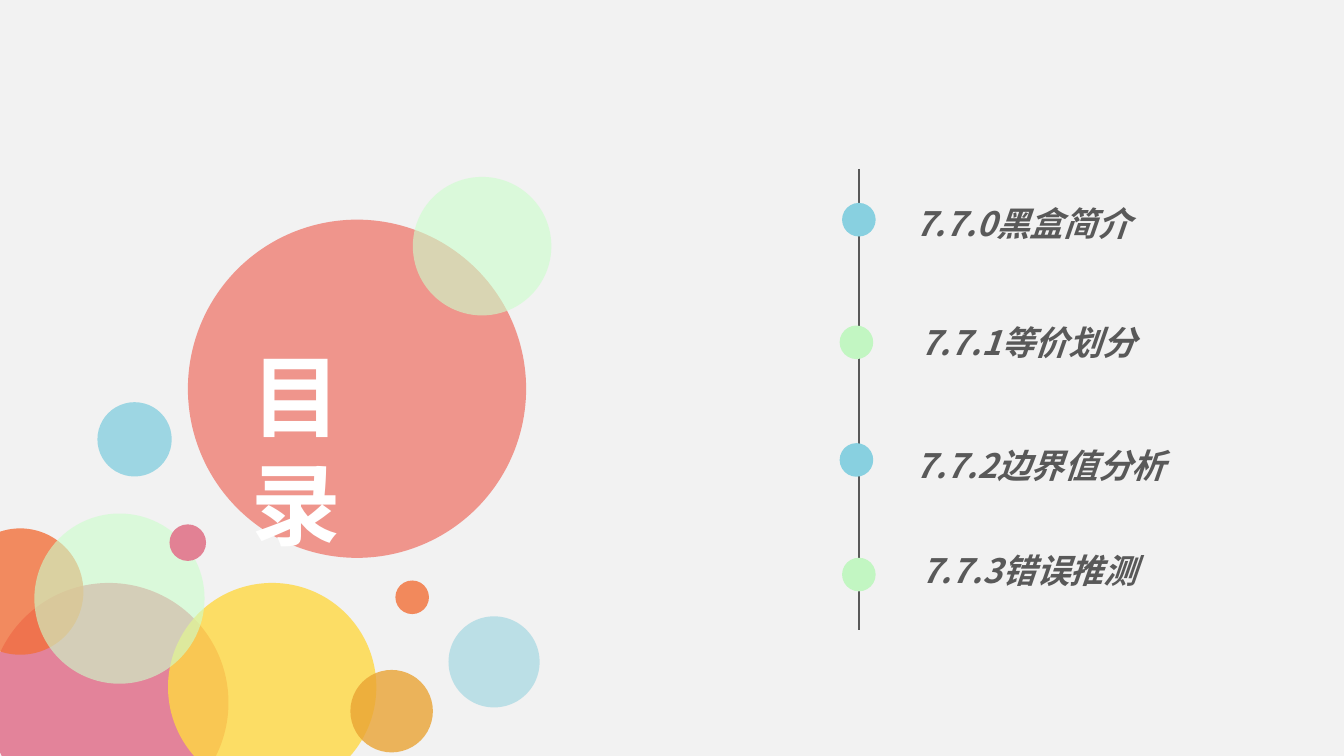
import lxml.etree
import pptx
import pptx.dml.color
import pptx.enum.shapes
import pptx.enum.text
import pptx.oxml.ns
import pptx.util
from dataclasses import dataclass

Pt = pptx.util.Pt
RGB = pptx.dml.color.RGBColor.from_string
qn = pptx.oxml.ns.qn


@dataclass(frozen=True)
class Theme:
    background: str = "F2F2F2"
    ink: str = "595959"
    white: str = "FFFFFF"
    coral: str = "EF8B81"
    sky: str = "88D0E0"
    pale_sky: str = "86CDDB"
    orange: str = "F2895C"
    deep_orange: str = "F3703B"
    crimson: str = "DB3D63"
    rose: str = "E28194"
    yellow: str = "FFD842"
    amber: str = "EAA434"
    mint: str = "CCFFCC"
    green: str = "C2F6C2"
    font: str = "Noto Sans CJK SC"
    title_size: int = 48
    item_size: int = 18


theme = Theme()


def add_circle(left, top, size, color, opacity=100):
    sp = s.shapes.add_shape(pptx.enum.shapes.MSO_SHAPE.OVAL,
                            Pt(left), Pt(top), Pt(size), Pt(size))
    sp.shadow.inherit = False
    sp.line.fill.background()
    sp.fill.solid()
    sp.fill.fore_color.rgb = RGB(color)
    if opacity < 100:
        clr = sp.fill._xPr.find(".//" + qn("a:srgbClr"))
        lxml.etree.SubElement(clr, qn("a:alpha"), val=str(opacity * 1000))


def write_text(sp, text, size, color, italic=False):
    """Fill a shape with one bold, left-aligned, top-anchored paragraph."""
    tf = sp.text_frame
    tf.word_wrap = True
    tf.auto_size = pptx.enum.text.MSO_AUTO_SIZE.SHAPE_TO_FIT_TEXT
    tf.vertical_anchor = pptx.enum.text.MSO_ANCHOR.TOP
    p = tf.paragraphs[0]
    p.text = text
    p.alignment = pptx.enum.text.PP_ALIGN.LEFT
    p.font.name = theme.font
    p.font.size = Pt(size)
    p.font.bold = True
    p.font.italic = italic
    p.font.color.rgb = RGB(color)
    latin = p._p.find(".//" + qn("a:latin"))
    latin.addnext(latin.makeelement(qn("a:ea"), {"typeface": theme.font}))


prs = pptx.Presentation()
prs.slide_width, prs.slide_height = Pt(720), Pt(405)
s = prs.slides.add_slide(prs.slide_layouts[5])
s.background.fill.solid()
s.background.fill.fore_color.rgb = RGB(theme.background)

# Bubbles, from back to front: left, top, diameter, colour, opacity in percent
bubbles = [
    (100.7, 117.7, 181.2, theme.coral, 90),
    (52.2, 215.5, 39.8, theme.sky, 80),
    (240.3, 330.2, 48.8, theme.pale_sky, 50),
    (211.8, 311, 18, theme.orange, 100),
    (-5.8, 312.3, 128.2, theme.crimson, 61),
    (90, 312.3, 111.6, theme.yellow, 80),
    (-23, 283.1, 67.7, theme.deep_orange, 80),
    (18.4, 275.1, 91.2, theme.mint, 61),
    (90.8, 280.9, 19.6, theme.rose, 100),
    (187.7, 358.9, 44.2, theme.amber, 80),
    (221.2, 94.8, 74.2, theme.mint, 61),
]
for bubble in bubbles:
    add_circle(*bubble)

# Title, brought in front of the coral bubble
title = s.shapes.title
title.left, title.top, title.width, title.height = Pt(127.4), Pt(179.3), Pt(121), Pt(65)
write_text(title, "目 录", theme.title_size, theme.white)
s.shapes._spTree.append(title._element)

# Timeline with one dot and one label per section
line = s.shapes.add_connector(pptx.enum.shapes.MSO_CONNECTOR.STRAIGHT,
                              Pt(460), Pt(90.5), Pt(460), Pt(337.5))
line.line.color.rgb = RGB(theme.ink)
line.line.width = Pt(1)
lxml.etree.SubElement(line._element.spPr, qn("a:effectLst"))

# Label, dot left and top, label left, top and width
sections = [
    ("7.7.0黑盒简介", 451.1, 108.7, 483.1, 105, 130.3),
    ("7.7.1等价划分", 449.8, 174.4, 485.8, 169, 130.3),
    ("7.7.2边界值分析", 449.8, 237.4, 483.6, 234.9, 148.3),
    ("7.7.3错误推测", 451.1, 298.8, 486.4, 291, 130.3),
]
for i, (label, dot_left, dot_top, left, top, width) in enumerate(sections):
    add_circle(dot_left, dot_top, 18, (theme.sky, theme.green)[i % 2])
    box = s.shapes.add_textbox(Pt(left), Pt(top), Pt(width), Pt(29))
    write_text(box, label, theme.item_size, theme.ink, italic=True)

prs.save("out.pptx")
